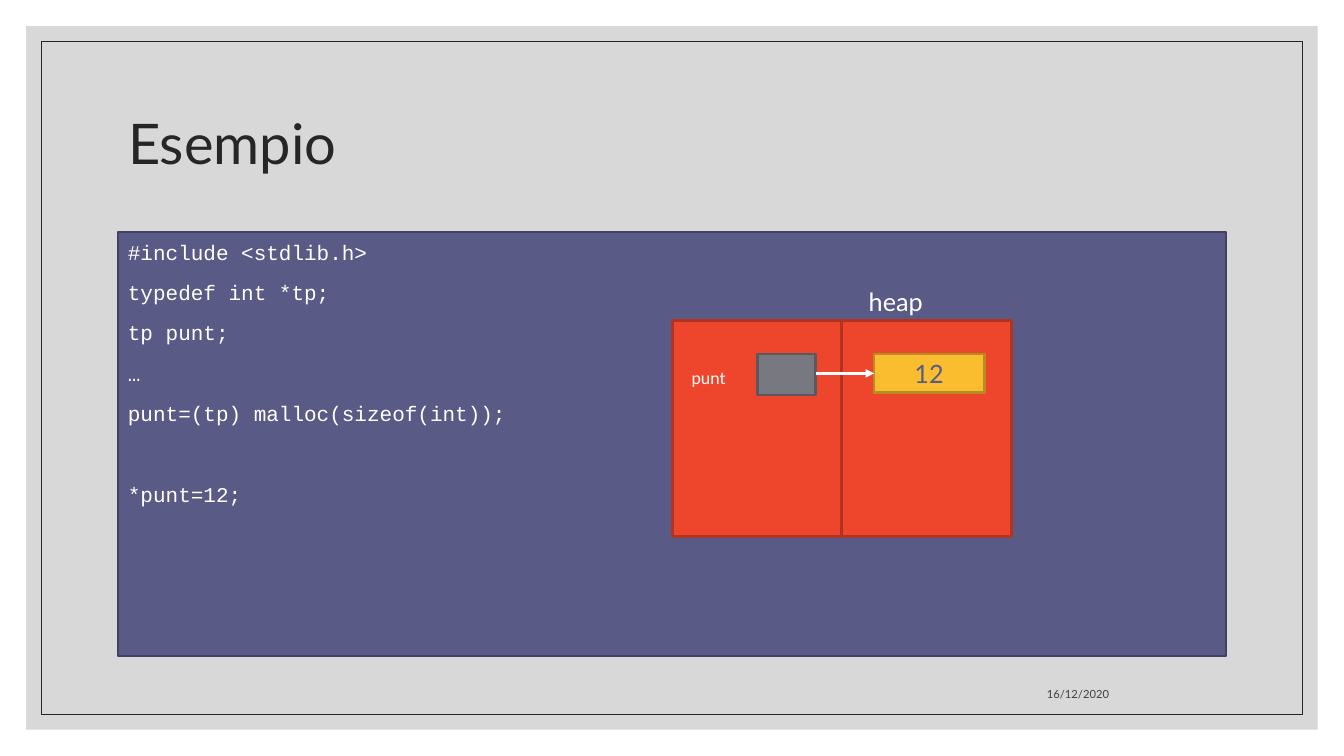
from lxml.etree import SubElement
from pptx import Presentation
from pptx.dml.color import RGBColor
from pptx.enum.shapes import MSO_CONNECTOR as Connector, MSO_SHAPE as Shape
from pptx.enum.text import MSO_ANCHOR as Anchor, PP_ALIGN as Align
from pptx.oxml.ns import qn
from pptx.util import Inches, Pt

COLORS = {
    "paper": "D8D8D8", "ink": "262626", "date": "404040", "white": "FFFFFF",
    "panel": "595A85", "panel_edge": "414262",
    "memory": "EE462D", "memory_edge": "B03421",
    "pointer": "787880", "pointer_edge": "59595F",
    "value": "FABD2F", "value_edge": "B98C23",
}
WIDTH, HEIGHT = 13.33, 7.5
MARGIN = 1.17
CONTENT_WIDTH = WIDTH - 2 * MARGIN
# Each line of code with the space before it; a wide space parts two steps
CODE = [
    ("#include <stdlib.h>", 0),
    ("typedef int *tp;", 9),
    ("tp punt;", 9),
    ("…", 9),
    ("punt=(tp) malloc(sizeof(int));", 9),
    ("*punt=12;", 38),
]


def color(name):
    return RGBColor.from_string(COLORS[name])


def inches(box):
    return [Inches(length) for length in box]


def within(box, left, top, width, height):
    """Turn shares of a box into a box on the slide."""
    x, y, w, h = box
    return x + left * w, y + top * h, width * w, height * h


def write(holder, lines, size=18, ink="white", font="Lato", align=Align.LEFT,
          anchor=Anchor.TOP, spacing=1.0, wrap=True):
    """Fill a shape with (text, space before) lines in one format."""
    frame = holder.text_frame
    frame.word_wrap = wrap
    frame.vertical_anchor = anchor
    for index, (text, before) in enumerate(lines):
        paragraph = frame.add_paragraph() if index else frame.paragraphs[0]
        paragraph.text = text
        paragraph.alignment = align
        paragraph.line_spacing = spacing
        paragraph.space_before = Pt(before)
        paragraph.font.name = font
        paragraph.font.size = Pt(size)
        paragraph.font.color.rgb = color(ink)


def add_label(slide, box, text, **text_format):
    label = slide.shapes.add_textbox(*inches(box))
    write(label, [(text, 0)], **text_format)


def add_block(slide, box, fill=None, edge=None, weight=2):
    block = slide.shapes.add_shape(Shape.RECTANGLE, *inches(box))
    block.shadow.inherit = False
    if fill:
        block.fill.solid()
        block.fill.fore_color.rgb = color(fill)
    else:
        block.fill.background()
    if edge:
        block.line.color.rgb = color(edge)
        block.line.width = Pt(weight)
    else:
        block.line.fill.background()
    return block


def add_arrow(slide, start, end):
    arrow = slide.shapes.add_connector(Connector.STRAIGHT, *inches(start + end))
    arrow.line.color.rgb = color("white")
    arrow.line.width = Pt(2)
    line = arrow.line._get_or_add_ln()
    SubElement(line, qn("a:tailEnd"), type="triangle")
    SubElement(arrow.element.spPr, qn("a:effectLst"))


def add_backdrop(slide):
    """Lay the grey sheet and its thin frame behind the title."""
    for inset, fill, edge in ((0.26, "paper", None), (0.41, None, "ink")):
        box = (inset, inset, WIDTH - 2 * inset, HEIGHT - 2 * inset)
        sheet = add_block(slide, box, fill, edge, weight=0.5)
        slide.shapes.title.element.addprevious(sheet.element)


def add_title(slide, box, text):
    title = slide.shapes.title
    title.left, title.top, title.width, title.height = inches(box)
    write(title, [(text, 0)], size=40, ink="ink", anchor=Anchor.MIDDLE, spacing=0.9)


def add_code(slide, box):
    panel = add_block(slide, box, "panel", "panel_edge", weight=1)
    write(panel, CODE, size=15, font="Courier New", spacing=1.1)


def add_memory(slide, box):
    """Draw the pointer on the left half and the heap on the right half."""
    for half in range(2):
        add_block(slide, within(box, half / 2, 0, 0.5, 1), "memory", "memory_edge")

    pointer_box = within(box, 0.25, 0.155, 0.173, 0.19)
    value_box = within(box, 0.595, 0.155, 0.325, 0.18)
    add_block(slide, pointer_box, "pointer", "pointer_edge")
    value = add_block(slide, value_box, "value", "value_edge")
    write(value, [("12", 0)], ink="panel", align=Align.CENTER, anchor=Anchor.MIDDLE)

    add_label(slide, within(box, 0.027, 0.196, 0.173, 0.14), "punt", size=12, wrap=False)
    add_label(slide, within(box, 0.55, -0.18, 0.45, 0.18), "heap")
    middle = value_box[1] + value_box[3] / 2
    add_arrow(slide, (pointer_box[0] + pointer_box[2], middle), (value_box[0], middle))


def main():
    deck = Presentation()
    deck.slide_width, deck.slide_height = inches((WIDTH, HEIGHT))
    slide = deck.slides.add_slide(deck.slide_layouts[5])
    add_backdrop(slide)
    add_title(slide, (MARGIN, 0.7, CONTENT_WIDTH, 1.5), "Esempio")
    add_code(slide, (MARGIN, 2.3, CONTENT_WIDTH, 4.21))
    add_memory(slide, (6.67, 3.18, 3.36, 2.14))
    add_label(slide, (7.94, 6.6, 3.16, 0.4), "16/12/2020", size=8, ink="date",
              align=Align.RIGHT, anchor=Anchor.BOTTOM)
    deck.save("out.pptx")


if __name__ == "__main__":
    main()
